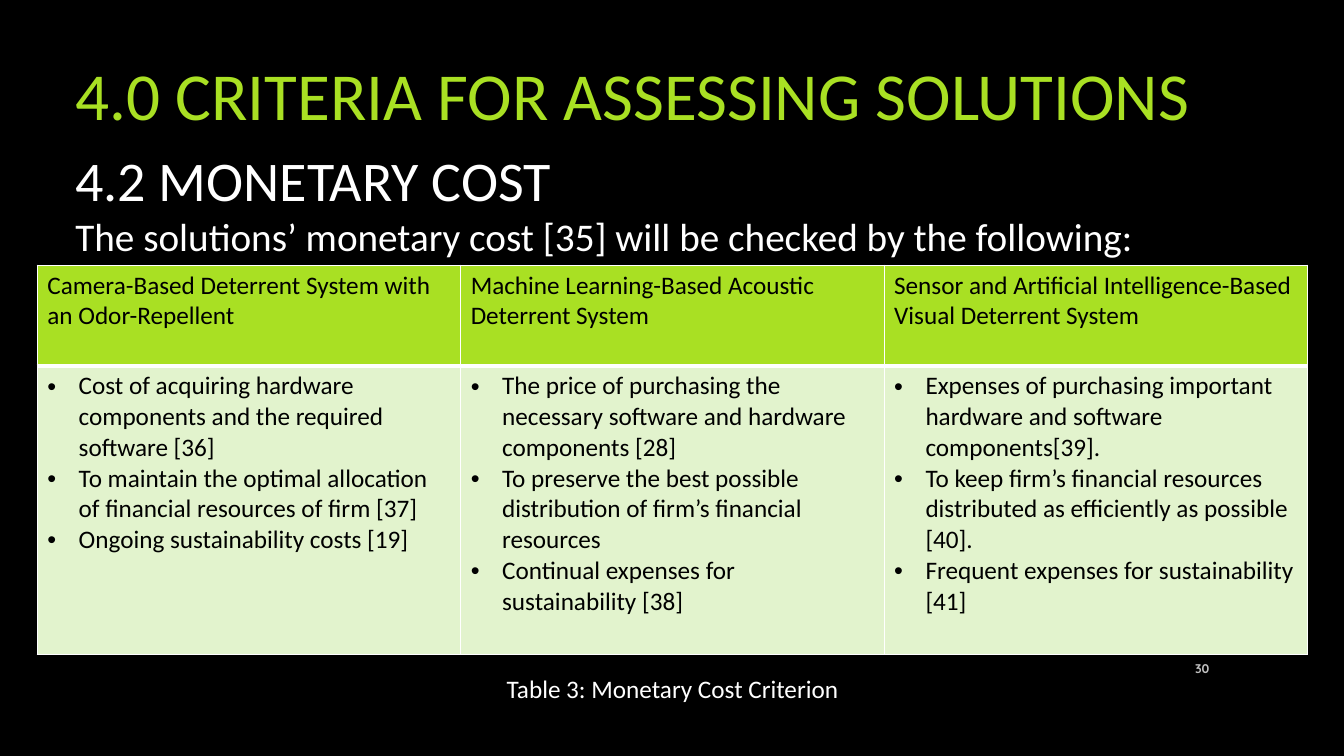
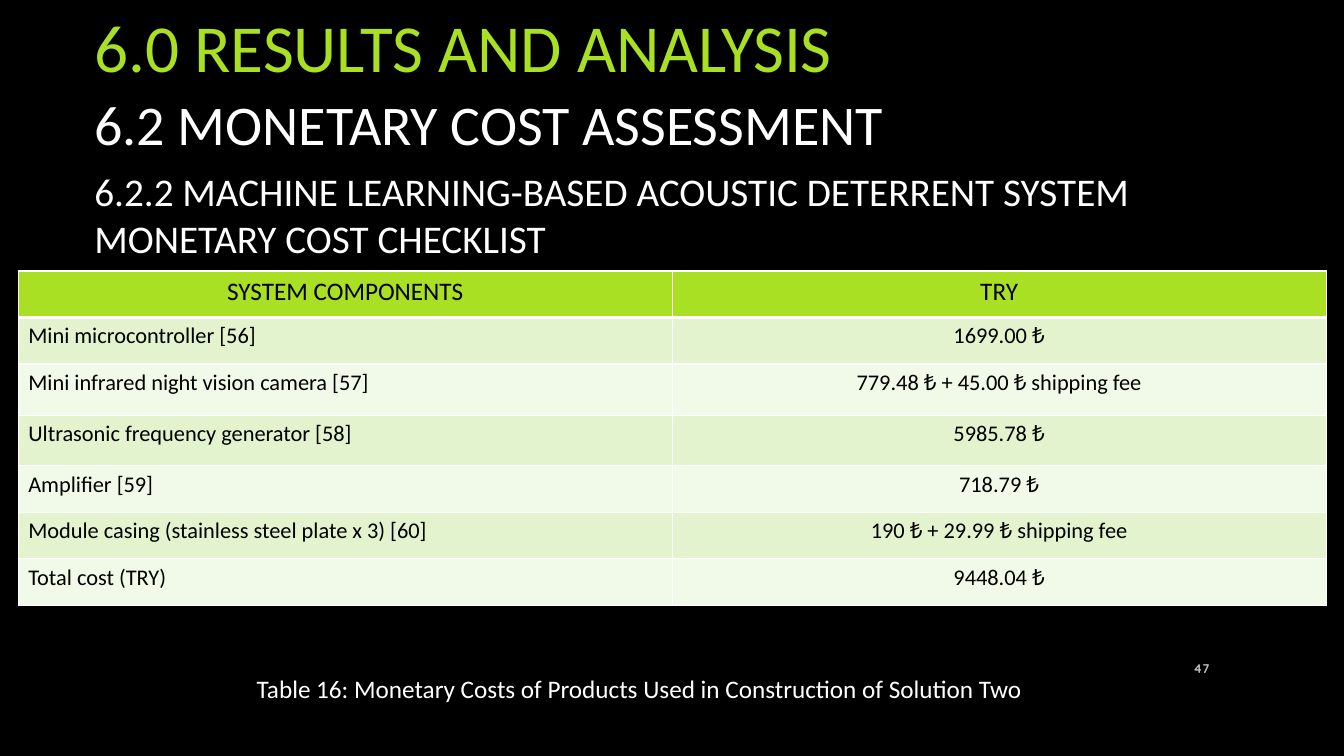
from dataclasses import dataclass
from lxml.etree import SubElement
from pptx import Presentation
from pptx.dml.color import RGBColor as Rgb
from pptx.enum.text import MSO_ANCHOR as Anchor, PP_ALIGN as Align
from pptx.oxml.ns import qn
from pptx.util import Cm, Pt


# Colours, fonts and type sizes
@dataclass(frozen=True)
class Theme:
    back: str = "000000"
    lime: str = "A9E023"
    white: str = "FFFFFF"
    black: str = "000000"
    gray: str = "BFBFBF"
    bands: tuple = ("E2F3CD", "F1F9E8")
    font: str = "Calibri"
    num_font: str = "Quicksand"
    title: int = 48
    head: int = 40
    sub: int = 28
    label: int = 18
    cell: int = 16
    num: int = 9


LOOK = Theme()


def write(frame, text, size=LOOK.label, color=LOOK.white, font=LOOK.font,
          bold=False, align=Align.LEFT, bullet=False):
    """Add one paragraph, filling the first one if it is still empty."""
    para = frame.paragraphs[0]
    if para.runs:
        para = frame.add_paragraph()
    para.alignment = align
    if bullet:
        props = para._p.get_or_add_pPr()
        props.set("marL", str(Cm(0.79)))
        props.set("indent", str(-Cm(0.79)))
        SubElement(props, qn("a:buFont"), typeface="Arial")
        SubElement(props, qn("a:buChar"), char="•")
    run = para.add_run()
    run.text = text
    face = run.font
    face.name, face.size, face.bold = font, Pt(size), bold
    face.color.rgb = Rgb.from_string(color)


class Deck:
    def __init__(self):
        self.show = Presentation()
        self.show.slide_width, self.show.slide_height = Cm(33.87), Cm(19.05)
        self.slide = None

    # Black page with its number
    def page(self, num):
        self.slide = self.show.slides.add_slide(self.show.slide_layouts[6])
        fill = self.slide.background.fill
        fill.solid()
        fill.fore_color.rgb = Rgb.from_string(LOOK.back)
        frame = self.box(29.21, 16.33, 1.52, 1.02, Anchor.MIDDLE)
        write(frame, num, size=LOOK.num, color=LOOK.gray,
              font=LOOK.num_font, bold=True, align=Align.RIGHT)

    def box(self, left, top, width, height, anchor=Anchor.TOP):
        spot = map(Cm, (left, top, width, height))
        frame = self.slide.shapes.add_textbox(*spot).text_frame
        frame.word_wrap = True
        frame.vertical_anchor = anchor
        return frame

    def title(self, text, left, top, width, height):
        frame = self.box(left, top, width, height, Anchor.MIDDLE)
        write(frame, text, size=LOOK.title, color=LOOK.lime)

    def caption(self, text, left, width):
        write(self.box(left, 16.84, width, 1.02), text)

    # Table with a lime header, pale bands and white rules
    def table(self, left, top, col, rows, data, **styles):
        cols = len(data[0])
        grid = self.slide.shapes.add_table(
            len(rows), cols, Cm(left), Cm(top),
            Cm(col * cols), Cm(sum(rows))).table
        for part in grid.columns:
            part.width = Cm(col)
        for r, (high, line) in enumerate(zip(rows, data)):
            grid.rows[r].height = Cm(high)
            tint = LOOK.bands[(r - 1) % 2] if r else LOOK.lime
            for c, entry in enumerate(line):
                cell = grid.cell(r, c)
                self.rule(cell, r)
                cell.fill.solid()
                cell.fill.fore_color.rgb = Rgb.from_string(tint)
                items = [entry] if isinstance(entry, str) else entry
                style = styles["body" if r else "header"](c)
                for item in items:
                    write(cell.text_frame, item, color=LOOK.black, **style)

    @staticmethod
    def rule(cell, row):
        props = cell._tc.get_or_add_tcPr()
        thick = {0: "lnB", 1: "lnT"}.get(row)
        for side in ("lnL", "lnR", "lnT", "lnB"):
            width = Pt(3 if side == thick else 1)
            edge = SubElement(props, qn("a:" + side), w=str(width))
            fill = SubElement(edge, qn("a:solidFill"))
            SubElement(fill, qn("a:srgbClr"), val=LOOK.white)


def criteria(deck):
    deck.page("30")
    deck.title("4.0 CRITERIA FOR ASSESSING SOLUTIONS", 1.65, 0.38, 29.08, 3.96)
    intro = deck.box(1.65, 3.53, 29.29, 3.18)
    write(intro, "4.2 MONETARY COST", size=LOOK.head)
    write(intro, "The solutions’ monetary cost [35] will be checked by the "
          "following:", size=LOOK.sub)
    data = [
        ["Camera-Based Deterrent System with an Odor-Repellent",
         "Machine Learning-Based Acoustic Deterrent System",
         "Sensor and Artificial Intelligence-Based Visual Deterrent System"],
        [["Cost of acquiring hardware components and the required "
          "software [36]",
          "To maintain the optimal allocation of financial resources of "
          "firm [37]",
          "Ongoing sustainability costs [19]"],
         ["The price of purchasing the necessary software and hardware "
          "components [28]",
          "To preserve the best possible distribution of firm’s financial "
          "resources",
          "Continual expenses for sustainability [38]"],
         ["Expenses of purchasing important hardware and software "
          "components[39].",
          "To keep firm’s financial resources distributed as efficiently as "
          "possible [40].",
          "Frequent expenses for sustainability [41]"]],
    ]
    deck.table(0.94, 6.68, 10.67, (2.54, 7.28), data,
               header=lambda c: {}, body=lambda c: {"bullet": True})
    deck.caption("Table 3: Monetary Cost Criterion", 12.52, 9.4)


def results(deck):
    deck.page("47")
    deck.title("6.0 RESULTS AND ANALYSIS", 2.13, 0, 29.59, 2.29)
    write(deck.box(2.13, 2.13, 21.36, 1.96),
          "6.2 MONETARY COST ASSESSMENT", size=LOOK.head)
    write(deck.box(2.13, 4.09, 27, 2.64),
          "6.2.2 MACHINE LEARNING-BASED ACOUSTIC DETERRENT SYSTEM "
          "MONETARY COST CHECKLIST", size=LOOK.sub)
    data = [
        ("SYSTEM COMPONENTS", "TRY"),
        ("Mini microcontroller [56]", "1699.00 ₺"),
        ("Mini infrared night vision camera [57]",
         "779.48 ₺ + 45.00 ₺ shipping fee"),
        ("Ultrasonic frequency generator [58]", "5985.78 ₺"),
        ("Amplifier [59]", "718.79 ₺"),
        ("Module casing (stainless steel plate x 3) [60]",
         "190 ₺ + 29.99 ₺ shipping fee"),
        ("Total cost (TRY)", "9448.04 ₺"),
    ]
    sides = (Align.LEFT, Align.CENTER)
    deck.table(0.46, 6.83, 16.48, (1.17, 1.17, 1.3, 1.27, 1.17, 1.17, 1.17),
               data, header=lambda c: {"align": Align.CENTER},
               body=lambda c: {"align": sides[c], "size": LOOK.cell})
    deck.caption("Table 16: Monetary Costs of Products Used in Construction "
                 "of Solution Two", 6.22, 21.41)


def main():
    deck = Deck()
    criteria(deck)
    results(deck)
    deck.show.save("out.pptx")


if __name__ == "__main__":
    main()
